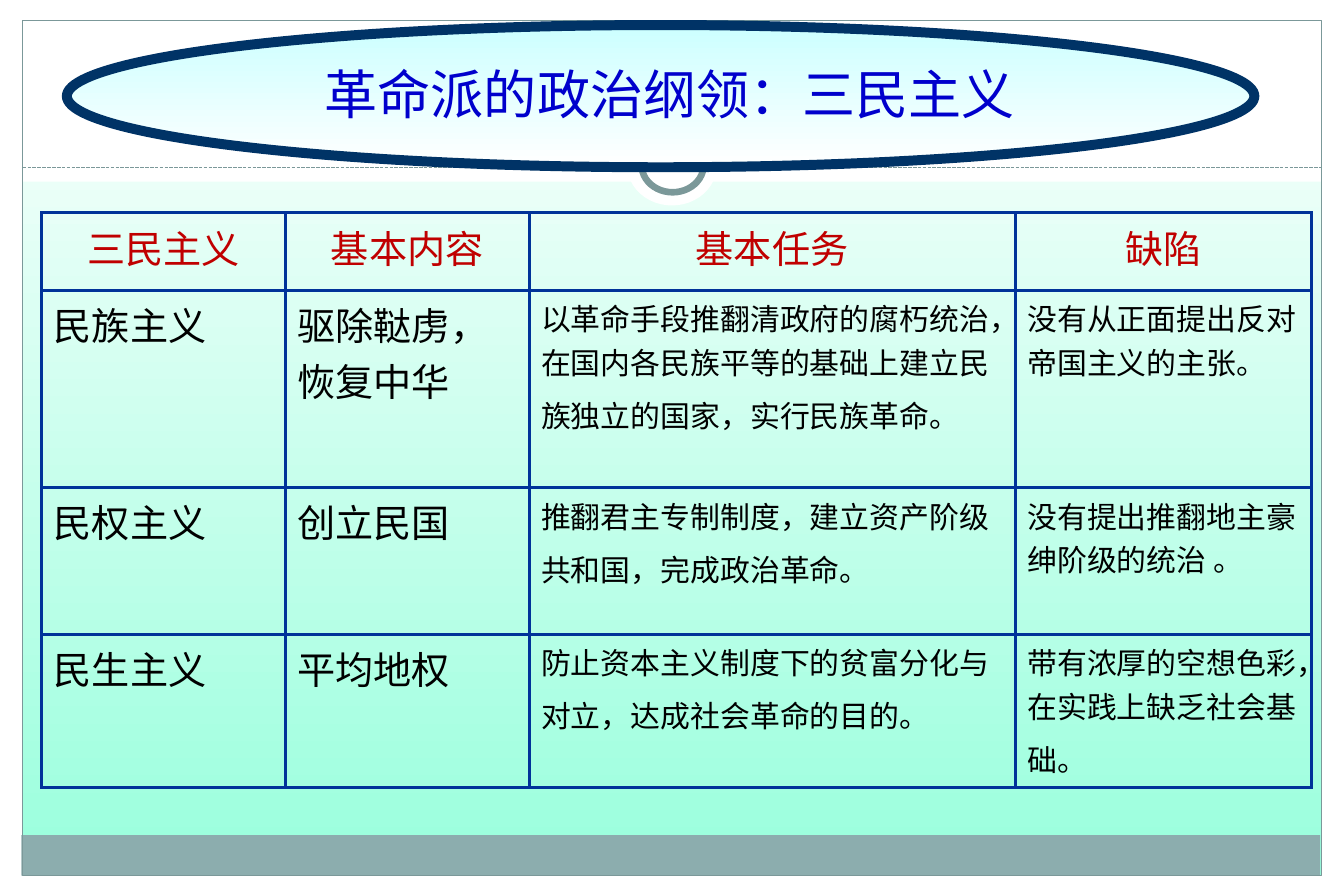
from lxml import etree
from pptx import Presentation
from pptx.dml.color import RGBColor
from pptx.enum.dml import MSO_LINE
from pptx.enum.shapes import MSO_CONNECTOR, MSO_SHAPE
from pptx.enum.text import MSO_ANCHOR, PP_ALIGN
from pptx.oxml import parse_xml
from pptx.oxml.ns import qn
from pptx.util import Inches, Pt

RECT, OVAL = MSO_SHAPE.RECTANGLE, MSO_SHAPE.OVAL
STRAIGHT, DASH = MSO_CONNECTOR.STRAIGHT, MSO_LINE.SQUARE_DOT
CENTER, LEFT, MIDDLE = PP_ALIGN.CENTER, PP_ALIGN.LEFT, MSO_ANCHOR.MIDDLE
FONT = "Noto Sans CJK JP"
WHITE, SAGE, TABLE_BLUE = "FFFFFF", "7B9899", "003399"
MAIN_SIZE, DETAIL_SIZE = 23, 18
NAMESPACE = "http://schemas.openxmlformats.org/drawingml/2006/main"


def rgb(color):
    return RGBColor.from_string(color)


def style_paragraph(paragraph, size, color, align):
    paragraph.alignment = align
    font = paragraph.font
    font.size, font.name, font.bold = Pt(size), FONT, False
    font.color.rgb = rgb(color)
    for run in paragraph.runs:
        east_asian = etree.SubElement(run._r.get_or_add_rPr(), qn("a:ea"))
        east_asian.set("typeface", FONT)


prs = Presentation()
prs.slide_width, prs.slide_height = Inches(11.25), Inches(7.5)
slide = prs.slides.add_slide(prs.slide_layouts[6])
shapes = slide.shapes

# Margins, footer band, frame, ring and title oval, from back to front
backdrop = [
    (RECT, 0, 7.33, 11.25, 0.17, WHITE, None, 0),
    (RECT, 0, 0, 11.25, 1.52, WHITE, None, 0),
    (RECT, 0, 0, 0.19, 7.5, WHITE, None, 0),
    (RECT, 11.06, 0, 0.19, 7.5, WHITE, None, 0),
    (RECT, 0.18, 6.99, 10.87, 0.34, "8CADAE", None, 0),
    (RECT, 0.19, 0.17, 10.87, 7.16, None, SAGE, 0.75),
    (OVAL, 5.25, 1.05, 0.75, 0.67, WHITE, None, 0),
    (OVAL, 5.37, 1.15, 0.52, 0.46, WHITE, SAGE, 4),
    (OVAL, 0.56, 0.21, 9.94, 1.19, "CCFFFF", "003366", 6),
]
for kind, left, top, width, height, fill, line, weight in backdrop:
    if (kind, left) == (OVAL, 5.25):
        divider = shapes.add_connector(
            STRAIGHT, Inches(0.19), Inches(1.4), Inches(11.06), Inches(1.4))
        divider.line.color.rgb = rgb(SAGE)
        divider.line.width = Pt(0.75)
        divider.line.dash_style = DASH
        etree.SubElement(divider._element.spPr, qn("a:effectLst"))
    part = shapes.add_shape(kind, Inches(left), Inches(top), Inches(width), Inches(height))
    part.shadow.inherit = False
    if fill:
        part.fill.solid()
        part.fill.fore_color.rgb = rgb(fill)
    else:
        part.fill.background()
    if line:
        part.line.color.rgb = rgb(line)
        part.line.width = Pt(weight)
    else:
        part.line.fill.background()
title_oval = part

for gradient_fill, start, end in [
    (slide.background.fill, WHITE, "97FFDC"),
    (title_oval.fill, "CCFFFF", WHITE),
]:
    gradient_fill.gradient()
    gradient_fill.gradient_angle = 270
    for stop, color in zip(gradient_fill.gradient_stops, (start, end)):
        stop.color.rgb = rgb(color)

title = shapes.add_textbox(Inches(1.11), Inches(0.38), Inches(9), Inches(0.8)).text_frame
title.word_wrap = True
title.vertical_anchor = MIDDLE
title.text = "革命派的政治纲领：三民主义"
style_paragraph(title.paragraphs[0], 32, "0000CC", CENTER)

# Table of the three principles
principles = [
    ["三民主义", "基本内容", "基本任务", "缺陷"],
    ["民族主义", "驱除鞑虏，恢复中华",
     "以革命手段推翻清政府的腐朽统治，在国内各民族平等的基础上建立民族独立的国家，实行民族革命。",
     "没有从正面提出反对帝国主义的主张。"],
    ["民权主义", "创立民国",
     "推翻君主专制制度，建立资产阶级共和国，完成政治革命。",
     "没有提出推翻地主豪绅阶级的统治 。"],
    ["民生主义", "平均地权",
     "防止资本主义制度下的贫富分化与对立，达成社会革命的目的。",
     "带有浓厚的空想色彩，在实践上缺乏社会基础。"],
]
# Detail cells whose last line is opened up by a larger closing space
tall_endings = {(1, 2), (2, 2), (3, 2), (3, 3)}
column_widths = [2.04, 2.04, 4.07, 2.48]
row_heights = [0.65, 1.65, 1.23, 1.28]

table = shapes.add_table(4, 4, Inches(0.35), Inches(1.78), Inches(10.63), Inches(4.81)).table
table.first_row = table.horz_banding = False
for column, width in zip(table.columns, column_widths):
    column.width = Inches(width)
for row, height in zip(table.rows, row_heights):
    row.height = Inches(height)

for r, texts in enumerate(principles):
    for c, text in enumerate(texts):
        cell = table.cell(r, c)
        for side in ("lnL", "lnR", "lnT", "lnB"):
            cell._tc.get_or_add_tcPr().append(parse_xml(
                f'<a:{side} xmlns:a="{NAMESPACE}" w="{Pt(2.25)}"><a:solidFill>'
                f'<a:srgbClr val="{TABLE_BLUE}"/></a:solidFill></a:{side}>'))
        cell.fill.background()
        paragraph = cell.text_frame.paragraphs[0]
        paragraph.add_run().text = text
        if (r, c) in tall_endings:
            closing_space = paragraph.add_run()
            closing_space.text = " "
            closing_space.font.size = Pt(MAIN_SIZE)
        is_header = r == 0
        size = DETAIL_SIZE if c >= 2 and not is_header else MAIN_SIZE
        style_paragraph(paragraph, size, "C00000" if is_header else "000000",
                        CENTER if is_header else LEFT)

prs.save("out.pptx")
